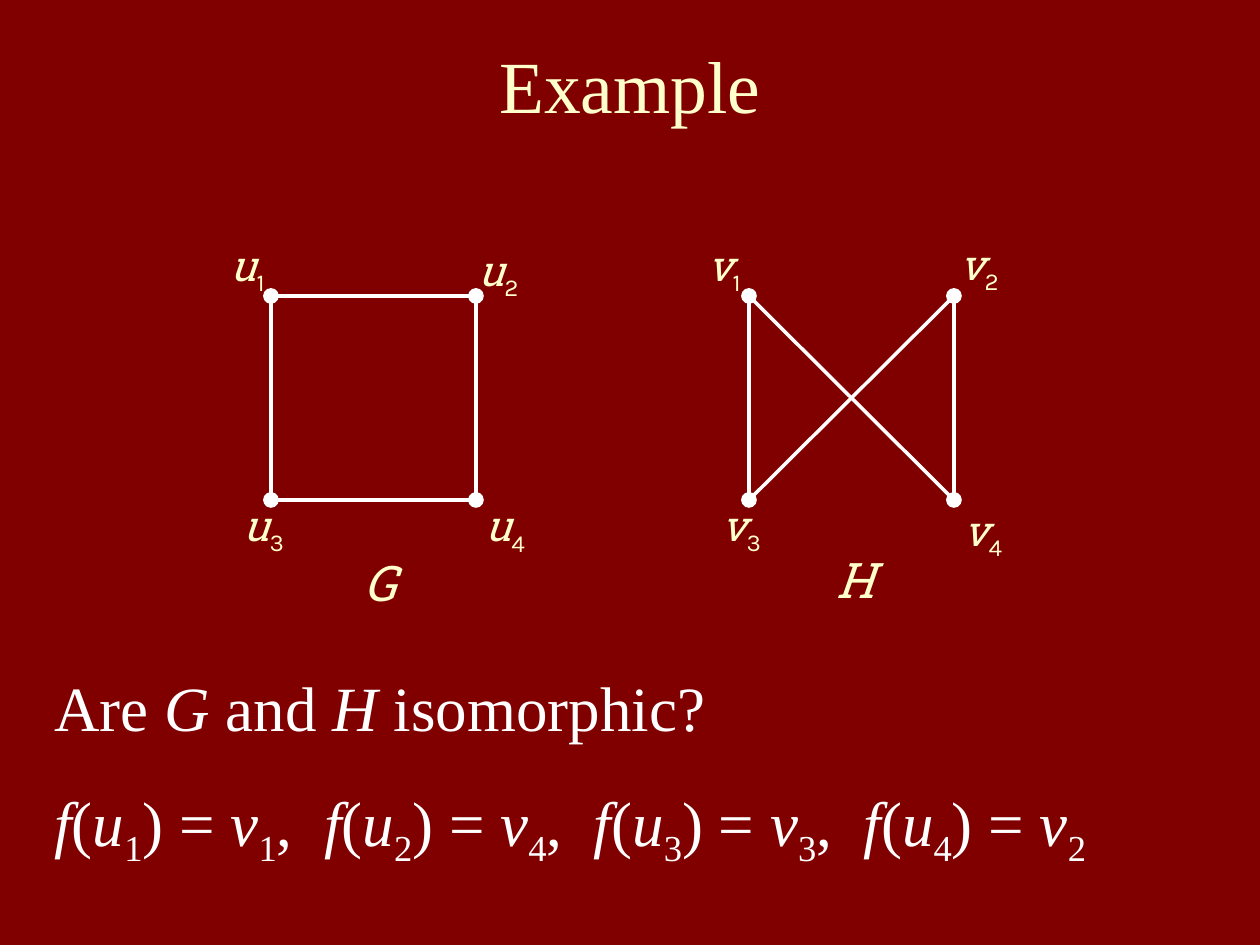
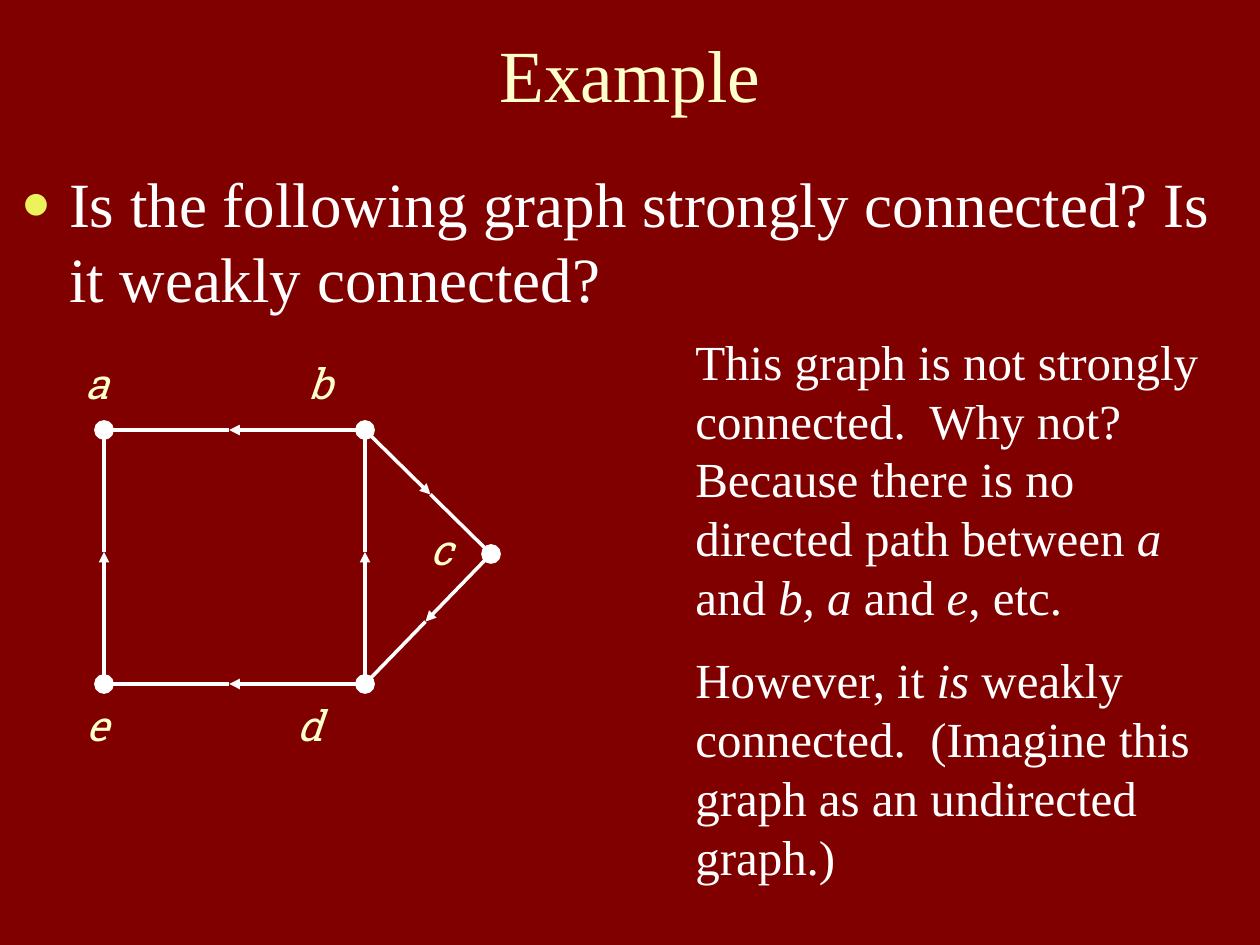
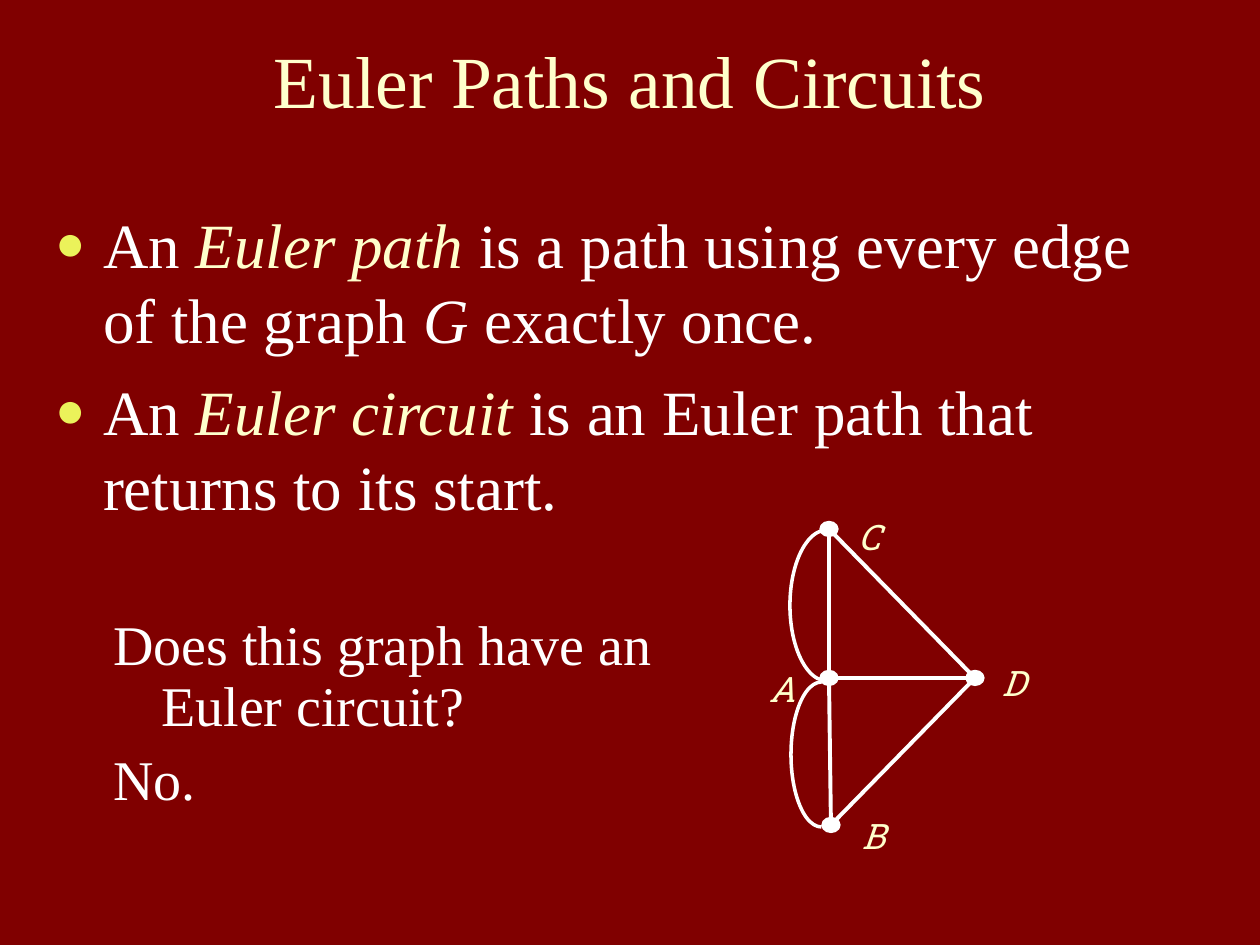
from lxml import etree
from pptx import Presentation
from pptx.dml.color import RGBColor
from pptx.enum.shapes import MSO_CONNECTOR, MSO_SHAPE
from pptx.enum.text import MSO_ANCHOR, MSO_AUTO_SIZE, PP_ALIGN
from pptx.oxml.ns import qn
from pptx.util import Emu, Pt

STRAIGHT = MSO_CONNECTOR.STRAIGHT
OVAL, ARC = MSO_SHAPE.OVAL, MSO_SHAPE.ARC
TITLE_ONLY, TITLE_AND_BODY = 5, 1

# Shared look
EMU_PER_PX = 914400 / 126
PAGE = (1260, 945)
MAROON, WHITE, CREAM, LIME = "800000", "FFFFFF", "FFFFCC", "EBF25A"
SERIF, SLAB, SANS = "Times New Roman", "Roboto Slab", "Karla"
HANG = 48
ARROW_AT = 0.52  # how far along an edge its arrowhead sits

# Content: runs are plain strings or (text, style);
# style letters: i italic, s subscript, c cream
SQUARE = {1: (271, 296), 2: (476, 296), 3: (271, 500), 4: (476, 500)}
ISO_GRAPHS = [
    {"shift": 0, "edges": [(1, 2), (1, 3), (2, 4), (3, 4)], "vertex": "u",
     "labels": [(231, 239), (479, 244), (244, 499), (486, 500)],
     "name": ("G", 364, 552)},
    {"shift": 478, "edges": [(1, 3), (2, 4), (2, 3), (1, 4)], "vertex": "v",
     "labels": [(708, 239), (960, 238), (722, 499), (964, 504)],
     "name": ("H", 837, 549)},
]
ISO_QUESTION = ["Are ", ("G", "i"), " and ", ("H", "i"), " isomorphic?"]
ISO_MAP = [("1", "1"), ("2", "4"), ("3", "3"), ("4", "2")]

DIRECTED_VERTICES = {"a": (104, 430), "b": (365, 430), "c": (491, 554),
                     "d": (365, 684), "e": (104, 684)}
DIRECTED_EDGES = ["ba", "bc", "cd", "db", "de", "ea"]
DIRECTED_LABELS = [("a", 86, 357), ("b", 309, 357), ("c", 431, 523),
                   ("d", 298, 699), ("e", 87, 699)]
CONNECTED_QUESTION = [["Is the following graph strongly connected? "
                       "Is it weakly connected?"]]
CONNECTED_ANSWER = [
    ["This graph is not strongly connected.  Why not?  Because there is no "
     "directed path between ", ("a", "i"), " and ", ("b, a ", "i"), "and",
     (" e", "i"), ", etc."],
    ["However, it ", ("is", "i"),
     " weakly connected.  (Imagine this graph as an undirected graph.)"],
]

EULER_DEFINITIONS = [
    ["An ", ("Euler path", "ic"), " is a path using every edge of the graph ",
     ("G", "i"), " exactly once."],
    ["An ", ("Euler circuit", "ic"),
     " is an Euler path that returns to its start."],
]
EULER_QUESTION = [["Does this graph have an Euler circuit?"], ["No."]]
EULER_VERTICES = {"A": (829, 678), "B": (831, 825), "C": (829, 529),
                  "D": (975, 678)}
EULER_EDGES = ["CD", "AD", "AB", "AC", "BD"]
EULER_ARCS = [(790, 530, 74, 151), (791, 682, 61, 145)]
EULER_LABELS = [("A", 769, 667), ("B", 862, 814), ("C", 858, 515),
                ("D", 1002, 661)]


def px(length):
    return Emu(round(length * EMU_PER_PX))


def rgb(code):
    return RGBColor.from_string(code)


def place(shape, left, top, width, height):
    shape.left, shape.top = px(left), px(top)
    shape.width, shape.height = px(width), px(height)


def add_run(paragraph, part, size, colour, face=SERIF):
    text, style = (part, "") if isinstance(part, str) else part
    run = paragraph.add_run()
    run.text = text
    run.font.name, run.font.size = face, Pt(size)
    run.font.italic = "i" in style
    run.font.color.rgb = rgb(CREAM if "c" in style else colour)
    if "s" in style:
        run.font._element.set("baseline", "-25000")


def add_bullet(paragraph):
    properties = paragraph._p.get_or_add_pPr()
    colour = etree.SubElement(properties, qn("a:buClr"))
    etree.SubElement(colour, qn("a:srgbClr"), val=LIME)
    etree.SubElement(properties, qn("a:buSzPct"), val="80000")
    etree.SubElement(properties, qn("a:buChar"), char="●")


def write(frame, paragraphs, size, gap=0, bullet=False, hang=False,
          spacing=None):
    frame.word_wrap = True
    frame.auto_size = MSO_AUTO_SIZE.NONE
    for index, parts in enumerate(paragraphs):
        paragraph = frame.add_paragraph() if index else frame.paragraphs[0]
        if bullet:
            add_bullet(paragraph)
        if bullet or hang:
            properties = paragraph._p.get_or_add_pPr()
            properties.set("marL", str(px(HANG)))
            properties.set("indent", str(-px(HANG)))
        paragraph.space_before = Pt(gap if index else 0)
        if spacing:
            paragraph.line_spacing = spacing
        for part in parts:
            add_run(paragraph, part, size, WHITE)


def add_text(slide, box, paragraphs, size, **layout):
    frame = slide.shapes.add_textbox(*map(px, box)).text_frame
    write(frame, paragraphs, size, **layout)


def fill_body(slide, box, paragraphs, side_inset):
    body = slide.placeholders[1]
    place(body, *box)
    frame = body.text_frame
    frame.margin_left = frame.margin_right = px(side_inset)
    write(frame, paragraphs, 36, gap=9, bullet=True)


def add_label(slide, letter, left, top, size, index=""):
    frame = slide.shapes.add_textbox(*map(px, (left, top, 63, 58))).text_frame
    frame.word_wrap = True
    frame.margin_left = frame.margin_right = 0
    frame.margin_top = frame.margin_bottom = 0
    paragraph = frame.paragraphs[0]
    add_run(paragraph, (letter, "i"), size, CREAM, SLAB)
    if index:
        add_run(paragraph, (index, "s"), size, CREAM, SANS)


def add_edge(slide, start, end, weight, arrow=False):
    line = slide.shapes.add_connector(STRAIGHT, *map(px, (*start, *end)))
    line.line.color.rgb = rgb(WHITE)
    line.line.width = Pt(weight)
    if arrow:
        etree.SubElement(line.line._get_or_add_ln(), qn("a:tailEnd"),
                         type="triangle")
    etree.SubElement(line._element.spPr, qn("a:effectLst"))


def add_directed_edge(slide, start, end):
    tip = [a + (b - a) * ARROW_AT for a, b in zip(start, end)]
    add_edge(slide, start, tip, 2, arrow=True)
    add_edge(slide, tip, end, 2)


def add_vertex(slide, centre, width, height, weight=1):
    x, y = centre
    box = (x - width / 2, y - height / 2, width, height)
    dot = slide.shapes.add_shape(OVAL, *map(px, box))
    dot.shadow.inherit = False
    dot.fill.solid()
    dot.fill.fore_color.rgb = rgb(WHITE)
    dot.line.color.rgb = rgb(WHITE)
    dot.line.width = Pt(weight)


def add_left_arc(slide, box):
    arc = slide.shapes.add_shape(ARC, *map(px, box))
    arc.adjustments[0], arc.adjustments[1] = 54, 162  # 90 to 270 degrees
    arc.shadow.inherit = False
    arc.fill.background()
    arc.line.color.rgb = rgb(WHITE)
    arc.line.width = Pt(2)


def new_slide(deck, layout, heading, height):
    slide = deck.slides.add_slide(deck.slide_layouts[layout])
    title = slide.shapes.title
    place(title, 63, 21, 1134, height)
    frame = title.text_frame
    frame.vertical_anchor = MSO_ANCHOR.MIDDLE
    frame.auto_size = MSO_AUTO_SIZE.NONE
    frame.paragraphs[0].alignment = PP_ALIGN.CENTER
    add_run(frame.paragraphs[0], heading, 42, CREAM)
    return slide


def build_isomorphism(deck):
    slide = new_slide(deck, TITLE_ONLY, "Example", 126)
    for graph in ISO_GRAPHS:
        corners = {n: (x + graph["shift"], y) for n, (x, y) in SQUARE.items()}
        for start, end in graph["edges"]:
            add_edge(slide, corners[start], corners[end], 2)
        for centre in corners.values():
            add_vertex(slide, centre, 14, 14)
        for number, (left, top) in enumerate(graph["labels"], 1):
            add_label(slide, graph["vertex"], left, top, 24, str(number))
        add_label(slide, *graph["name"], 28)

    mapping = []
    for u, v in ISO_MAP:
        if mapping:
            mapping.append(",  ")
        mapping += [("f", "i"), "(", ("u", "i"), (u, "s"), ") = ",
                    ("v", "i"), (v, "s")]
    add_text(slide, (42, 662, 1166, 214), [ISO_QUESTION, mapping], 36,
             gap=22.5)


def build_connectedness(deck):
    slide = new_slide(deck, TITLE_AND_BODY, "Example", 105)
    fill_body(slide, (21, 158, 1218, 242), CONNECTED_QUESTION, 0)
    for start, end in DIRECTED_EDGES:
        add_directed_edge(slide, DIRECTED_VERTICES[start],
                          DIRECTED_VERTICES[end])
    for centre in DIRECTED_VERTICES.values():
        add_vertex(slide, centre, 18, 18)
    for label in DIRECTED_LABELS:
        add_label(slide, *label, 24)
    add_text(slide, (683, 325, 536, 568), CONNECTED_ANSWER, 28, gap=14)


def build_euler(deck):
    slide = new_slide(deck, TITLE_AND_BODY, "Euler Paths and Circuits", 116)
    fill_body(slide, (42, 199, 1134, 347), EULER_DEFINITIONS, 13)
    for start, end in EULER_EDGES:
        add_edge(slide, EULER_VERTICES[start], EULER_VERTICES[end], 2.25)
    for box in EULER_ARCS:
        add_left_arc(slide, box)
    for centre in EULER_VERTICES.values():
        add_vertex(slide, centre, 18, 15, 0.75)
    for label in EULER_LABELS:
        add_label(slide, *label, 20)
    add_text(slide, (101, 611, 604, 84), EULER_QUESTION, 32, gap=8,
             hang=True, spacing=0.9)


def main():
    deck = Presentation()
    deck.slide_width, deck.slide_height = map(px, PAGE)
    backdrop = deck.slide_master.background.fill
    backdrop.solid()
    backdrop.fore_color.rgb = rgb(MAROON)
    build_isomorphism(deck)
    build_connectedness(deck)
    build_euler(deck)
    deck.save("out.pptx")


if __name__ == "__main__":
    main()
